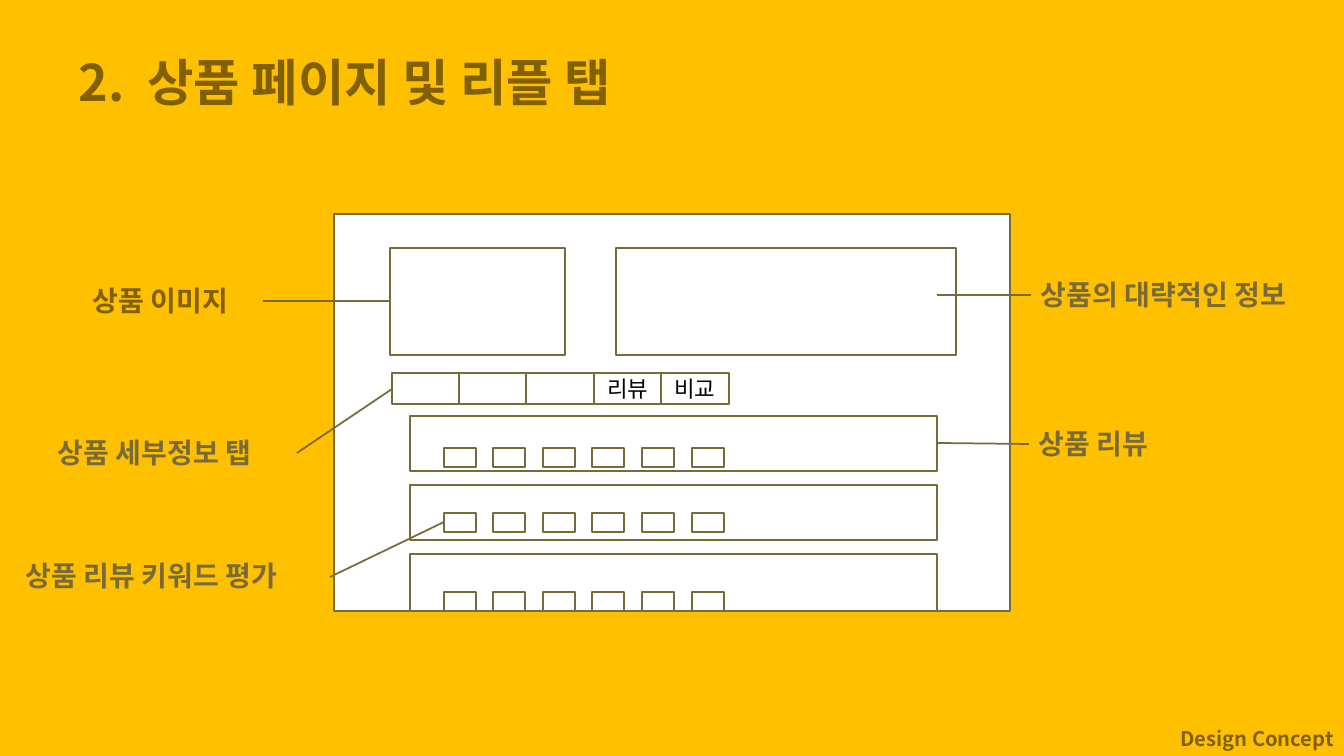
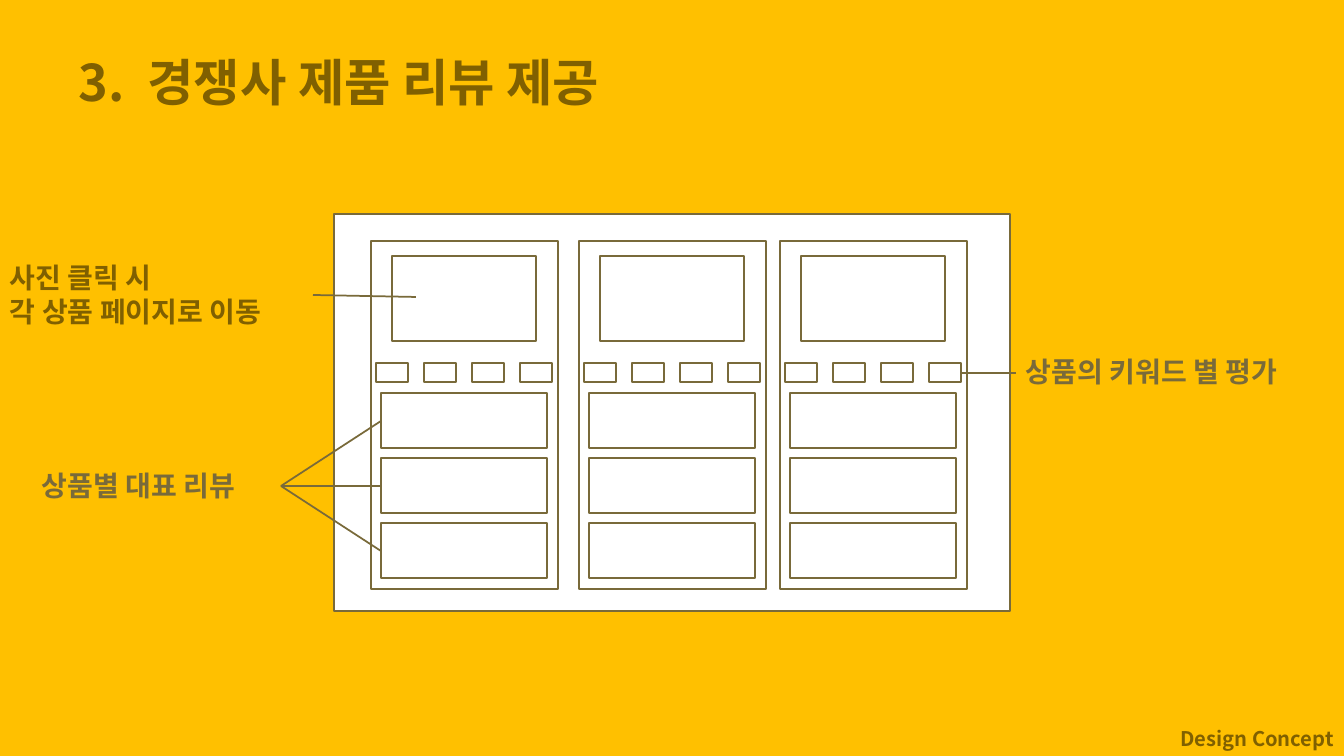
from lxml import etree
from pptx import Presentation, util as u
from pptx.dml.color import RGBColor
from pptx.enum import shapes, text
from pptx.oxml.ns import qn

PX = 12700 * 5 / 7  # 100.8 px to the inch
FONT = "Noto Sans CJK KR"
HUES = {"back": "FFC000", "head": "806000", "line": "796A3A",
        "page": "FFFFFF", "ink": "000000"}
HUES = {name: RGBColor.from_string(hue) for name, hue in HUES.items()}
LEFT, MID, JUST = text.PP_ALIGN.LEFT, text.PP_ALIGN.CENTER, text.PP_ALIGN.JUSTIFY
TOP, CORE, BASE = (text.MSO_ANCHOR.TOP, text.MSO_ANCHOR.MIDDLE,
                   text.MSO_ANCHOR.BOTTOM)


def draw(page, at, txt="", size=20, hue="line", bold=True, align=LEFT,
         anchor=TOP, lead=None, wrap=True, gap=0, frame=False):
    """Place text in a box; gap widens the first space, in 1/100 pt."""
    spot = [round(n * PX) for n in at]
    if frame:
        box = page.shapes.add_shape(shapes.MSO_SHAPE.RECTANGLE, *spot)
        box.shadow.inherit = False
        box.fill.solid()
        box.fill.fore_color.rgb = HUES["page"]
        box.line.color.rgb = HUES["line"]
        box.line.width = u.Pt(1)
    else:
        box = page.shapes.add_textbox(*spot)
    if not txt:
        return
    body = box.text_frame
    body.word_wrap = wrap
    body.vertical_anchor = anchor
    for i, row in enumerate(txt.split("\n")):
        para = body.add_paragraph() if i else body.paragraphs[0]
        para.alignment = align
        para.line_spacing = lead
        for part in row.partition(" ") if gap else [row]:
            run = para.add_run()
            run.text = part
            font = run.font
            font.name, font.size, font.bold = FONT, u.Pt(size), bold
            font.color.rgb = HUES[hue]
            props = run._r.get_or_add_rPr()
            etree.SubElement(props, qn("a:ea"), typeface=FONT)
            if part == " ":
                props.set("spc", str(gap))


def link(page, *ends):
    line = page.shapes.add_connector(shapes.MSO_CONNECTOR.STRAIGHT,
                                     *[round(n * PX) for n in ends])
    line.line.color.rgb = HUES["line"]
    line.line.width = u.Pt(1.25)
    etree.SubElement(line._element.spPr, qn("a:effectLst"))


deck = Presentation()
deck.slide_width, deck.slide_height = round(1344 * PX), round(756 * PX)

# Shared look: background, title, footer and the white screen
pages = []
for title in ("2. 상품 페이지 및 리플 탭", "3. 경쟁사 제품 리뷰 제공"):
    page = deck.slides.add_slide(deck.slide_layouts[6])
    page.background.fill.solid()
    page.background.fill.fore_color.rgb = HUES["back"]
    draw(page, (69, 46, 611, 72), title, size=36, hue="head", align=JUST,
         gap=800)
    draw(page, (1170, 720, 174, 36), "Design Concept", size=14.4, hue="head",
         align=MID, anchor=BASE, lead=1.5, wrap=False)
    draw(page, (334, 214, 676, 397), frame=True)
    pages.append(page)
item, rival = pages

# Product page: picture, summary, tabs, reviews with keyword chips
draw(item, (390, 248, 175, 107), frame=True)
draw(item, (616, 248, 340, 107), frame=True)
for i, tab in enumerate(("", "", "", "리뷰", "비교")):
    draw(item, (392 + i * 202 // 3, 373, 68, 31), tab, size=16, hue="ink",
         bold=False, align=MID, anchor=CORE, frame=True)
for top, high, chip in ((416, 55, 448), (485, 55, 513), (554, 57, 592)):
    draw(item, (410, top, 527, high), frame=True)
    for i in range(6):
        draw(item, (444 + i * 248 // 5, chip, 32, 19), frame=True)

# Rival reviews: three columns of picture, chips and reviews
for left in (371, 579, 780):
    draw(rival, (left, 241, 187, 348), frame=True)
    draw(rival, (left + 21, 256, 144, 85), frame=True)
    for i in range(4):
        draw(rival, (left + 5 + i * 48, 363, 32, 19), frame=True)
    for i in range(3):
        draw(rival, (left + 10, 393 + i * 65, 166, 55), frame=True)

# Labels around the screens
for page, at, txt, hue in (
        (item, (83, 279, 180, 44), "상품 이미지", "head"),
        (item, (1031, 273, 313, 44), "상품의 대략적인 정보", "line"),
        (item, (48, 431, 249, 44), "상품 세부정보 탭", "line"),
        (item, (1029, 422, 174, 44), "상품 리뷰", "line"),
        (item, (16, 554, 313, 44), "상품 리뷰 키워드 평가", "line"),
        (rival, (0, 256, 313, 78), "사진 클릭 시\n각 상품 페이지로 이동", "head"),
        (rival, (1016, 350, 313, 44), "상품의 키워드 별 평가", "line"),
        (rival, (32, 464, 249, 44), "상품별 대표 리뷰", "line")):
    draw(page, at, txt, hue=hue)

# Lines from labels to parts
for ends in ((263, 301, 390, 301), (937, 295, 1031, 295), (297, 453, 392, 389),
             (937, 443, 1029, 444), (444, 522, 330, 577)):
    link(item, *ends)
link(rival, 313, 295, 416, 297)
link(rival, 962, 373, 1016, 373)
for end in (421, 486, 551):
    link(rival, 281, 486, 381, end)

deck.save("out.pptx")
